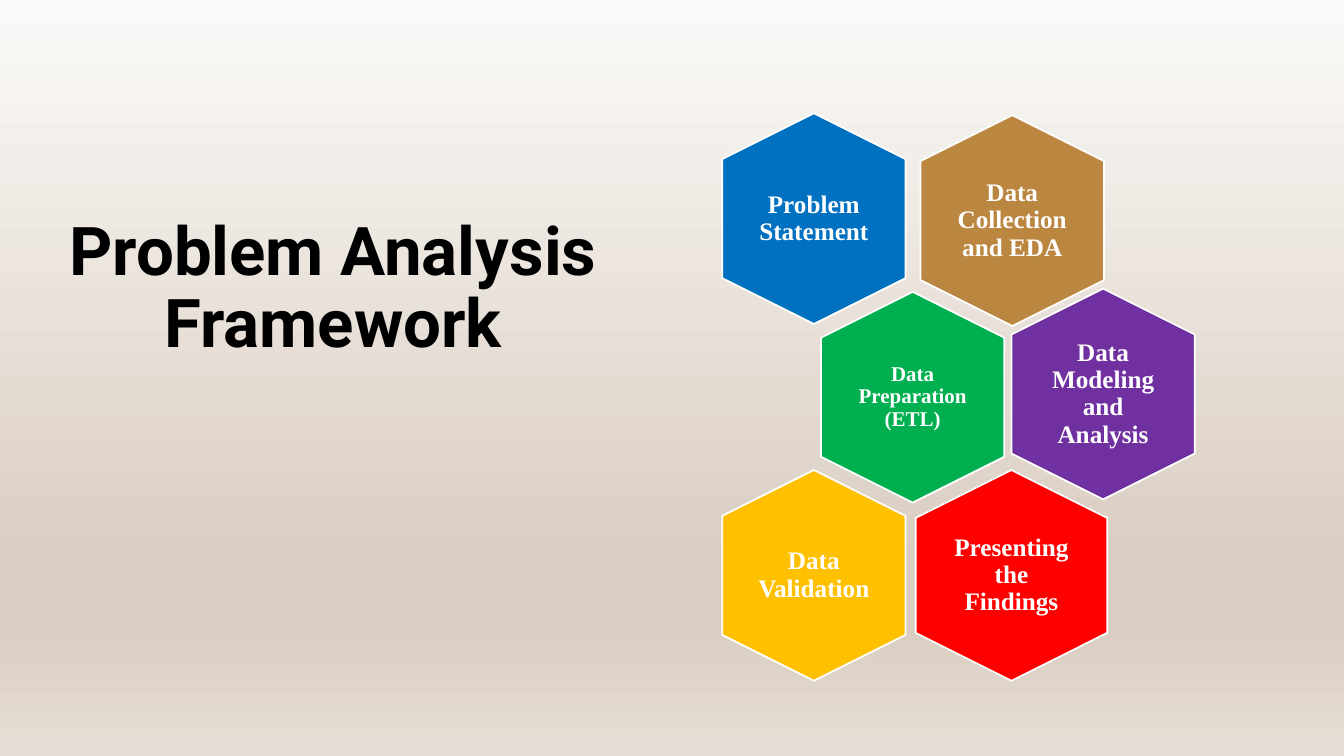
from lxml.etree import SubElement
from pptx import Presentation
from pptx.dml.color import RGBColor
from pptx.enum.shapes import MSO_SHAPE
from pptx.enum.text import MSO_ANCHOR, MSO_AUTO_SIZE, PP_ALIGN
from pptx.oxml.ns import qn
from pptx.util import Cm, Pt

# Content
TITLE = "Problem Analysis Framework"
COLORS = {
    "white": "FFFFFF", "black": "000000", "brown": "BB8640",
    "blue": "0070C0", "green": "00B050", "purple": "7030A0",
    "red": "FF0000", "gold": "FFC000",
    "cream": "FBFAF8", "sand": "DACEC2", "pale": "E6DED6",
}
STOPS = [(0, "cream"), (74, "sand"), (83, "sand"), (100, "pale")]

# Hexagons: text, colour, centre x and y, breadth, font size, inset (cm, pt)
STEPS = [
    ("Data Collection and EDA", "brown", 25.51, 5.56, 4.62, 18, 0.18),
    ("Problem Statement", "blue", 20.51, 5.51, 4.62, 18, 0),
    ("Data Preparation (ETL)", "green", 23, 10.01, 4.62, 15, 0.15),
    ("Data Modeling and Analysis", "purple", 27.8, 9.93, 4.62, 18, 0),
    ("Presenting the Findings", "red", 25.49, 14.5, 4.83, 18, 0.18),
    ("Data Validation", "gold", 20.51, 14.5, 4.62, 18, 0),
]
LENGTH = 5.31  # point to point
TEXT_W, TEXT_H = 0.687, 3.66  # share of the breadth, height


def color(name):
    return RGBColor.from_string(COLORS[name])


def around(x, y, w, h):
    """Left, top, width and height of a box centred on x, y."""
    return Cm(x - w / 2), Cm(y - h / 2), Cm(w), Cm(h)


def write(frame, text, face, size, tint, side, end):
    frame.text = text
    frame.word_wrap = True
    frame.auto_size = MSO_AUTO_SIZE.NONE
    frame.vertical_anchor = MSO_ANCHOR.MIDDLE
    frame.margin_left = frame.margin_right = Cm(side)
    frame.margin_top = frame.margin_bottom = Cm(end)
    para = frame.paragraphs[0]
    para.alignment = PP_ALIGN.CENTER
    para.line_spacing = 0.9
    font = para.font
    font.name, font.size, font.bold = face, Pt(size), True
    font.color.rgb = color(tint)


def paint(slide):
    """Fill the background from top to bottom."""
    fill = slide.background.fill
    fill.gradient()
    fill.gradient_angle = 270
    stops = slide.element.xpath(".//p:bg//a:gsLst")[0]
    for old in list(stops):
        stops.remove(old)
    for place, name in STOPS:
        stop = SubElement(stops, qn("a:gs"), pos=str(place * 1000))
        SubElement(stop, qn("a:srgbClr"), val=COLORS[name])


def add_step(slide, text, tint, x, y, breadth, size, inset):
    hexa = slide.shapes.add_shape(
        MSO_SHAPE.HEXAGON, *around(x, y, LENGTH, breadth))
    hexa.rotation = 90
    hexa.adjustments[0] = 0.25
    hexa.adjustments[1] = 1.155
    hexa.shadow.inherit = False
    hexa.fill.solid()
    hexa.fill.fore_color.rgb = color(tint)
    hexa.line.color.rgb = color("white")
    hexa.line.width = Pt(1.25)
    # Upright label over the turned hexagon
    label = slide.shapes.add_textbox(
        *around(x, y, breadth * TEXT_W, TEXT_H))
    write(label.text_frame, text, "Times New Roman", size, "white",
          inset, inset)


def main():
    deck = Presentation()
    deck.slide_width, deck.slide_height = Cm(33.87), Cm(19.05)
    slide = deck.slides.add_slide(deck.slide_layouts[5])
    paint(slide)

    # Title
    title = slide.shapes.title
    title.left, title.top = Cm(1.65), Cm(4.95)
    title.width, title.height = Cm(13.49), Cm(4.7)
    write(title.text_frame, TITLE, "Roboto", 48, "black", 0, 1.35)

    # Honeycomb
    for step in STEPS:
        add_step(slide, *step)
    deck.save("out.pptx")


if __name__ == "__main__":
    main()
